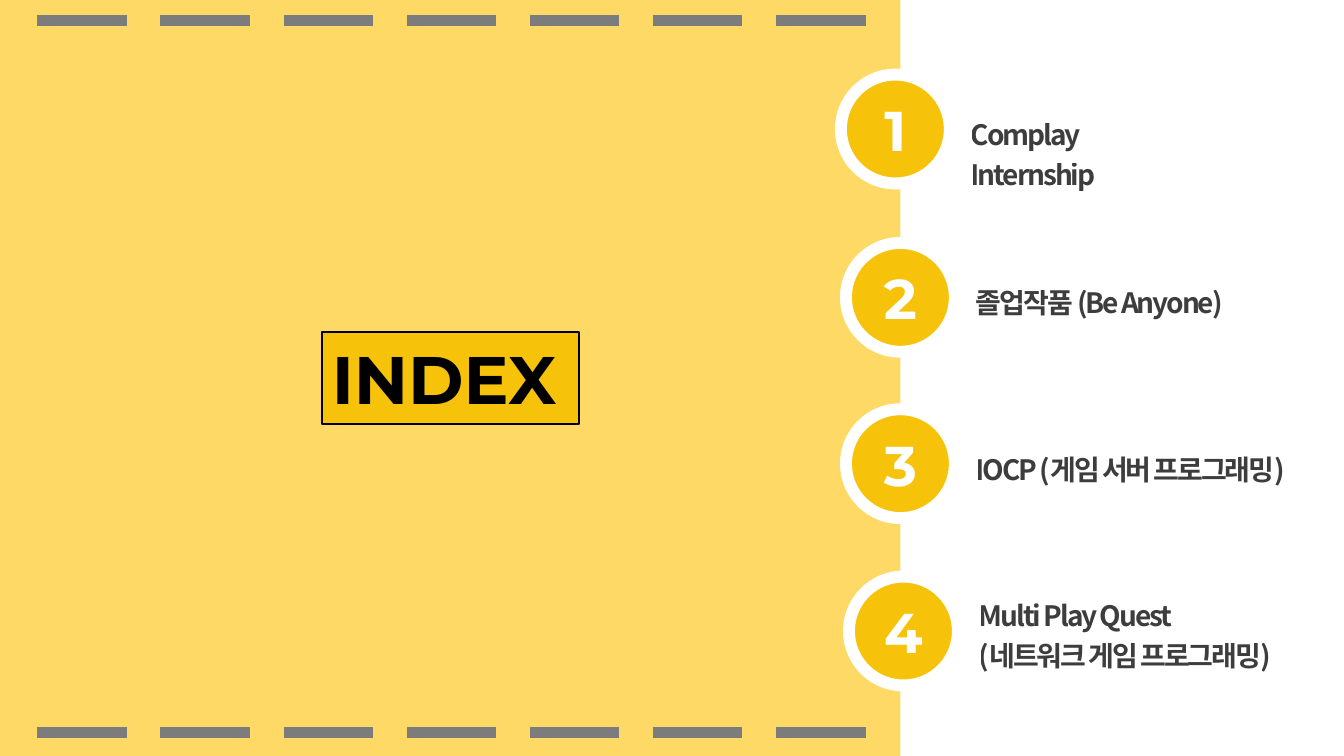
from lxml import etree
from pptx import Presentation
from pptx import util as u
from pptx.dml.color import RGBColor
from pptx.enum import dml, shapes, text
from pptx.oxml.ns import qn

PANEL = RGBColor(0xFF, 0xD9, 0x66)
GOLD = RGBColor(0xF6, 0xC3, 0x0A)
GRAY = RGBColor(0x7C, 0x7C, 0x7C)
BLACK = RGBColor(0, 0, 0)
INK = RGBColor(0x0D, 0x0D, 0x0D)
WHITE = RGBColor(0xFF, 0xFF, 0xFF)

WIDTH, HEIGHT = 13.33, 7.5
PANEL_SHARE = 0.67
HEADING_FONT, BODY_FONT = "Montserrat", "Noto Sans CJK KR"
DISC = 1.08

# Left and top of the disc, label offset from it (x, y), label lines
ENTRIES = [
    (8.34, 0.74, 1.19, 0.31, ["Complay", "Internship"]),
    (8.39, 2.41, 1.19, 0.31, ["졸업작품 (Be Anyone)"]),
    (8.39, 4.06, 1.19, 0.31, ["IOCP (게임 서버 프로그래밍)"]),
    (8.42, 5.72, 1.19, 0.1, ["Multi Play Quest", "(네트워크 게임 프로그래밍)"]),
]


def write(shape, lines, size, color, font=HEADING_FONT, align=text.PP_ALIGN.LEFT,
          anchor=text.MSO_ANCHOR.TOP, line_spacing=None, tracking=None, alpha=None):
    """Fill a shape with bold paragraphs in one format."""
    frame = shape.text_frame
    frame.word_wrap = True
    frame.auto_size = text.MSO_AUTO_SIZE.NONE
    frame.vertical_anchor = anchor
    for index, line in enumerate(lines):
        paragraph = frame.paragraphs[0] if index == 0 else frame.add_paragraph()
        paragraph.alignment = align
        paragraph.line_spacing = line_spacing
        run = paragraph.add_run()
        run.text = line
        run.font.size, run.font.bold, run.font.name = u.Pt(size), True, font
        run.font.color.rgb = color
        properties = run.font._element
        etree.SubElement(properties, qn("a:ea"), typeface=font)
        if tracking is not None:
            properties.set("spc", str(int(tracking * 100)))
        if alpha is not None:
            rgb = properties.find(".//" + qn("a:srgbClr"))
            etree.SubElement(rgb, qn("a:alpha"), val=str(alpha * 1000))


def add_filled(slide, kind, left, top, width, height, fill):
    shape = slide.shapes.add_shape(kind, *map(u.Inches, (left, top, width, height)))
    shape.shadow.inherit = False
    shape.fill.solid()
    shape.fill.fore_color.rgb = fill
    shape.line.fill.background()
    return shape


def add_dashes(slide, left, right, y):
    line = slide.shapes.add_connector(
        shapes.MSO_CONNECTOR.STRAIGHT, *map(u.Inches, (left, y, right, y)))
    line.line.color.rgb = GRAY
    line.line.width = u.Pt(8)
    line.line.dash_style = dml.MSO_LINE.LONG_DASH
    etree.SubElement(line._element.spPr, qn("a:effectLst"))


def add_title_panel(slide, width, height):
    """Yellow half with dashed rules and the boxed title."""
    add_filled(slide, shapes.MSO_SHAPE.RECTANGLE, 0, 0, width, height, PANEL)
    title = slide.shapes.title
    slide.shapes._spTree.append(title._element)  # bring in front of the panel
    box_width, box_height = 2.55, 0.91
    title.left, title.top = u.Inches((width - box_width) / 2), u.Inches((height - box_height) / 2)
    title.width, title.height = u.Inches(box_width), u.Inches(box_height)
    title.fill.solid()
    title.fill.fore_color.rgb = GOLD
    title.line.color.rgb = BLACK
    title.line.width = u.Pt(1.25)
    write(title, ["INDEX"], 48, BLACK)
    for y in (0.2, height - 0.23):
        add_dashes(slide, 0.37, width - 0.07, y)


def add_entry(slide, number, left, top, label_x, label_y, lines):
    """Numbered disc with its label to the right."""
    disc = add_filled(slide, shapes.MSO_SHAPE.OVAL, left, top, DISC, DISC, GOLD)
    disc.line.color.rgb = WHITE
    disc.line.width = u.Pt(8.5)
    write(disc, [str(number)], 40, WHITE, align=text.PP_ALIGN.CENTER,
          anchor=text.MSO_ANCHOR.MIDDLE)
    label = slide.shapes.add_textbox(
        *map(u.Inches, (left + label_x, top + label_y, 3.65, 0.07 + 0.4 * len(lines))))
    write(label, lines, 20, INK, font=BODY_FONT, line_spacing=1.2, tracking=-1.5, alpha=80)


def main():
    presentation = Presentation()
    presentation.slide_width, presentation.slide_height = u.Inches(WIDTH), u.Inches(HEIGHT)
    slide = presentation.slides.add_slide(presentation.slide_layouts[5])
    add_title_panel(slide, WIDTH * PANEL_SHARE, HEIGHT)
    for number, entry in enumerate(ENTRIES, start=1):
        add_entry(slide, number, *entry)
    presentation.save("out.pptx")


if __name__ == "__main__":
    main()
